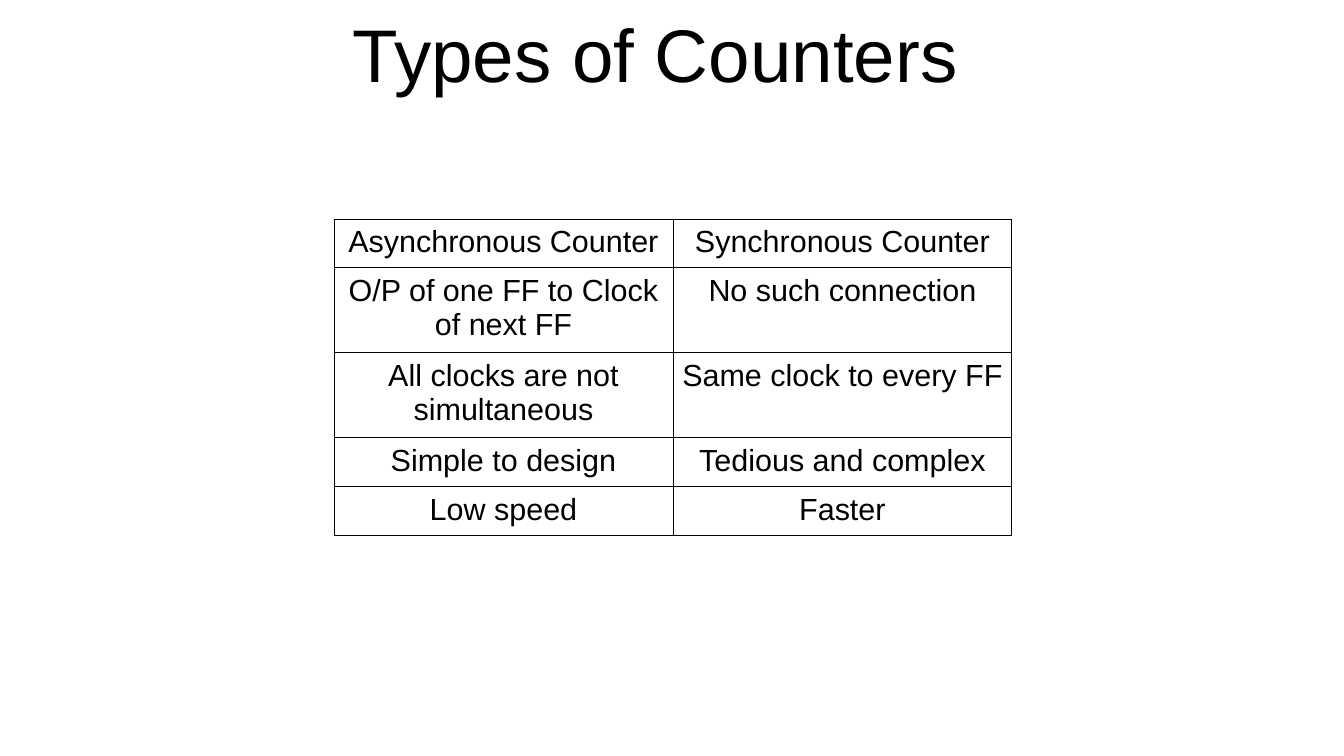
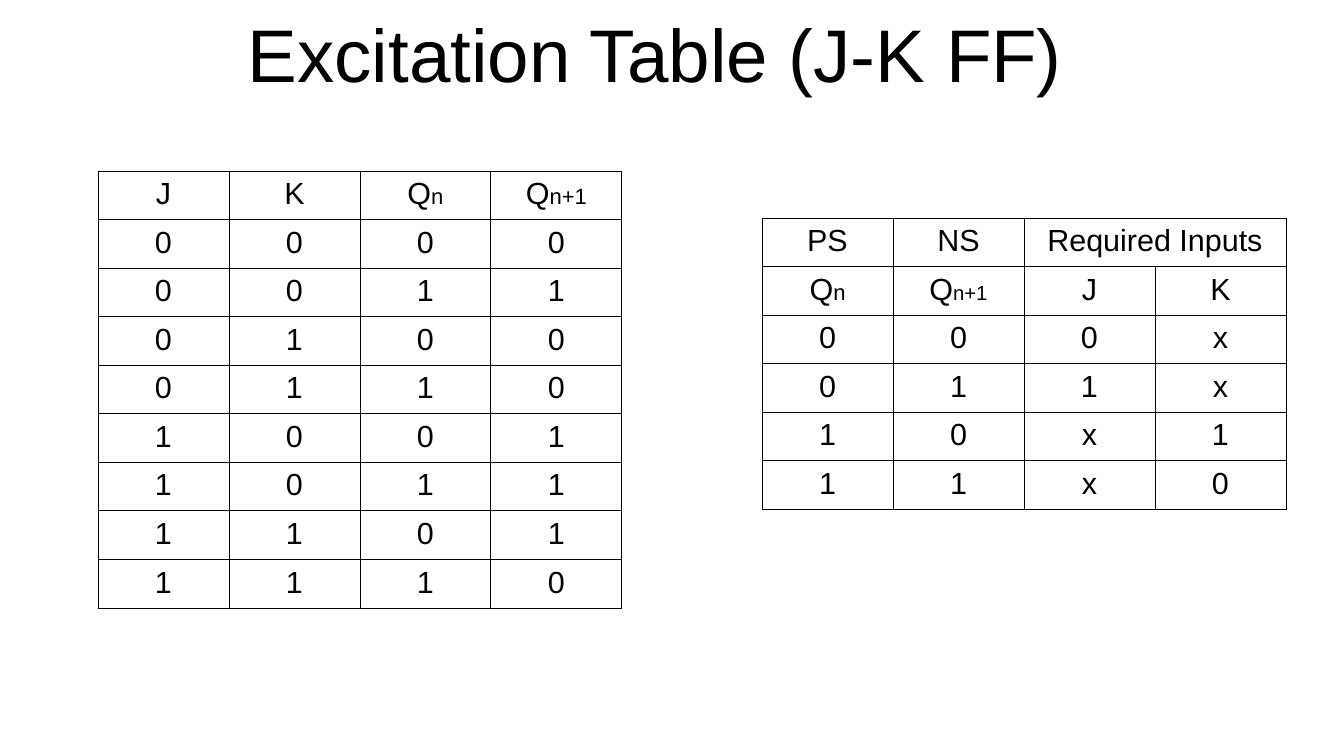
import pptx
import pptx.util
import pptx.dml.color
import pptx.enum.text
import pptx.oxml
import pptx.oxml.ns

PX = 914400 / 122
FONT = "Arial"
HUES = {"ink": "000000", "page": "FFFFFF"}
TITLE, BODY = 44, 18
ROW = 46
EDGE = 0.57


def px(n):
    return pptx.util.Emu(round(n * PX))


def write(frame, runs):
    """Fill a frame with one centred line of (text, size) runs."""
    para = frame.paragraphs[0]
    para.alignment = pptx.enum.text.PP_ALIGN.CENTER
    for text, size in runs:
        run = para.add_run()
        run.text = text
        run.font.name = FONT
        run.font.size = pptx.util.Pt(size)
        run.font.color.rgb = pptx.dml.color.RGBColor.from_string(HUES["ink"])


# Content: each table has left, top, column width, rows and merged cells
now = [("Q", BODY), ("n", 13)]
next_q = [("Q", BODY), ("n+1", 13)]
next_s = [("Q", BODY), ("n+1", 12)]

kinds = [
    ["Asynchronous Counter", "Synchronous Counter"],
    ["O/P of one FF to Clock of next FF", "No such connection"],
    ["All clocks are not simultaneous", "Same clock to every FF"],
    ["Simple to design", "Tedious and complex"],
    ["Low speed", "Faster"],
]
needs = [
    ["PS", "NS", "Required Inputs", ""],
    [now, next_s, "J", "K"],
    *map(list, ["000x", "011x", "10x1", "11x0"]),
]
truth = [
    ["J", "K", now, next_q],
    *map(list, ["0000", "0011", "0100", "0110", "1001", "1011", "1101", "1110"]),
]
pages = [
    ("Types of Counters", [(334, 219, 339, kinds, [])]),
    ("Excitation Table (J-K FF)", [
        (762, 218, 131, needs, [((0, 2), (0, 3))]),
        (98, 171, 131, truth, []),
    ]),
]

# Deck
deck = pptx.Presentation()
deck.slide_width, deck.slide_height = px(1344), px(756)

for title, tables in pages:
    slide = deck.slides.add_slide(deck.slide_layouts[6])
    back = slide.background.fill
    back.solid()
    back.fore_color.rgb = pptx.dml.color.RGBColor.from_string(HUES["page"])

    # Title
    frame = slide.shapes.add_textbox(px(20), px(10), px(1271), px(85)).text_frame
    frame.word_wrap = True
    frame.vertical_anchor = pptx.enum.text.MSO_ANCHOR.MIDDLE
    frame.margin_left = frame.margin_right = 0
    frame.margin_top = frame.margin_bottom = 0
    write(frame, [(title, TITLE)])

    # Tables
    for left, top, wide, rows, spans in tables:
        count = len(rows[0])
        grid = slide.shapes.add_table(
            len(rows), count, px(left), px(top),
            px(wide * count), px(ROW * len(rows))).table
        grid.first_row = grid.horz_banding = False
        for col in grid.columns:
            col.width = px(wide)
        for line in grid.rows:
            line.height = px(ROW)

        for r, row in enumerate(rows):
            for c, text in enumerate(row):
                cell = grid.cell(r, c)
                cell.margin_left = cell.margin_right = px(5)
                cell.margin_top = cell.margin_bottom = px(6)

                # Borders come before the fill
                props = cell._tc.get_or_add_tcPr()
                for side in "LRTB":
                    props.append(pptx.oxml.parse_xml(
                        f'<a:ln{side} {pptx.oxml.ns.nsdecls("a")} '
                        f'w="{pptx.util.Pt(EDGE)}"><a:solidFill>'
                        f'<a:srgbClr val="{HUES["ink"]}"/>'
                        f'</a:solidFill></a:ln{side}>'))
                cell.fill.background()
                if text:
                    runs = [(text, BODY)] if isinstance(text, str) else text
                    write(cell.text_frame, runs)

        for start, end in spans:
            grid.cell(*start).merge(grid.cell(*end))

deck.save("out.pptx")
